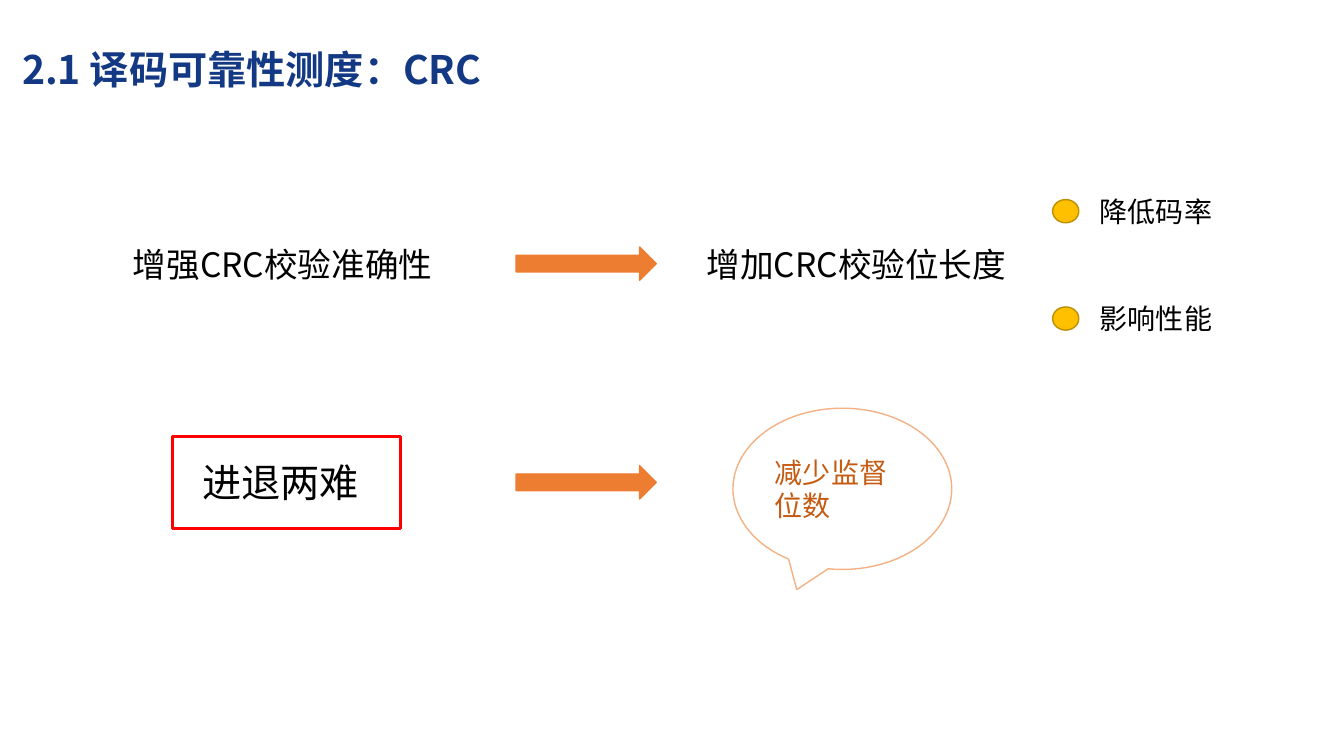
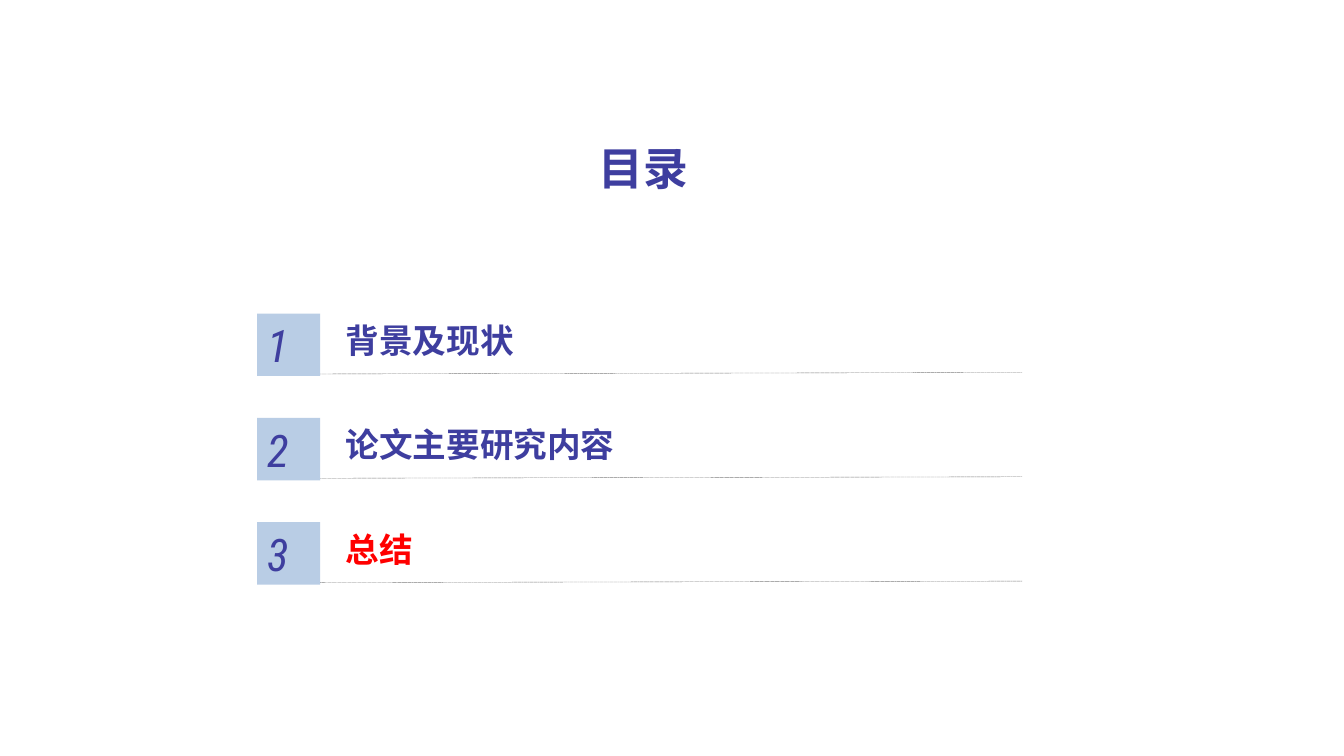
from lxml.etree import SubElement as Sub
from pptx import Presentation
from pptx.dml.color import RGBColor as Rgb
from pptx.enum.dml import MSO_LINE as Dash
from pptx.enum.shapes import MSO_CONNECTOR as Link, MSO_SHAPE as Form
from pptx.enum.text import MSO_ANCHOR as Anchor, MSO_AUTO_SIZE as Fit, PP_ALIGN as Align
from pptx.oxml.ns import qn
from pptx.util import Inches, Pt

WIDE, HIGH = Inches(13.33), Inches(7.5)
SANS, SLIM = "Noto Sans CJK SC", "Roboto Condensed"
HUES = {
    "ink": "000000", "navy": "133984", "indigo": "3E3E9F", "red": "FF0000",
    "orange": "ED7D31", "peach": "F4B183", "rust": "C55A11",
    "gold": "FFC000", "bronze": "BD8E00", "sky": "B9CDE5", "gray": "7F7F7F",
}


def hue(name):
    return Rgb.from_string(HUES[name])


def place(left, top, width, height):
    return [int(part * full / 100) for part, full in
            zip((left, top, width, height), (WIDE, HIGH, WIDE, HIGH))]


def apply(item, values):
    for name, value in values.items():
        setattr(item, name, value)


def write(shape, text, size, color, face=SANS, bold=False, italic=False,
          anchor=Anchor.TOP, align=Align.LEFT, space=1.0):
    frame = shape.text_frame
    apply(frame, {"word_wrap": True, "auto_size": Fit.NONE, "vertical_anchor": anchor})
    para = frame.paragraphs[0]
    apply(para, {"alignment": align, "line_spacing": space})
    run = para.add_run()
    run.text = text
    apply(run.font, {"size": Pt(size), "bold": bold, "italic": italic, "name": face})
    run.font.color.rgb = hue(color)
    Sub(run.font._element, qn("a:ea"), typeface=face)


def title(deck, text, box, **style):
    slide = deck.slides.add_slide(deck.slide_layouts[5])
    head = slide.shapes.title
    apply(head, dict(zip(("left", "top", "width", "height"), place(*box))))
    write(head, text, bold=True, **style)
    return slide


def label(slide, text, box, size, color="ink", **style):
    write(slide.shapes.add_textbox(*place(*box)), text, size, color, **style)


def block(slide, form, box, fill=None, edge=None, weight=1):
    shape = slide.shapes.add_shape(form, *place(*box))
    shape.shadow.inherit = False
    if fill:
        shape.fill.solid()
        shape.fill.fore_color.rgb = hue(fill)
    else:
        shape.fill.background()
    if edge:
        shape.line.color.rgb = hue(edge)
        shape.line.width = Pt(weight)
    else:
        shape.line.fill.background()
    return shape


def rule(slide, left, top, right, end):
    line = slide.shapes.add_connector(Link.STRAIGHT, *place(left, top, right, end))
    line.line.color.rgb = hue("gray")
    apply(line.line, {"width": Pt(0.25), "dash_style": Dash.SQUARE_DOT})
    Sub(line._element.spPr, qn("a:effectLst"))


def crc(deck):
    slide = title(deck, "2.1 译码可靠性测度：CRC", (0.9, 2.27, 40.8, 9.6),
                  size=28, color="navy", space=1.5)
    bubble = block(slide, Form.OVAL_CALLOUT, (54.54, 54, 16.28, 21.33), edge="peach")
    write(bubble, "减少监督位数", 20, "rust", anchor=Anchor.MIDDLE)
    label(slide, "增强CRC校验准确性", (9.15, 31.6, 27.75, 6.67), 24)
    label(slide, "增加CRC校验位长度", (51.84, 31.6, 34.5, 6.67), 24)
    label(slide, "进退两难", (14.33, 60, 14.1, 7.6), 28)
    block(slide, Form.RECTANGLE, (12.83, 57.73, 16.95, 12.13), edge="red", weight=2.25)
    for top in (32.67, 61.6):
        block(slide, Form.RIGHT_ARROW, (38.4, top, 10.43, 4.4), "orange", "orange")
    for row, text in enumerate(("降低码率", "影响性能")):
        top = 25.07 + row * 14.2
        block(slide, Form.FLOWCHART_CONNECTOR, (78.32, top + 1.33, 1.95, 3.07),
              "gold", "bronze")
        label(slide, text, (81.1, top, 16.58, 5.87), 20)


def agenda(deck):
    slide = title(deck, "目录", (14.18, 18, 67.36, 9.87),
                  size=32, color="indigo", align=Align.CENTER)
    items = (("背景及现状", "indigo"), ("论文主要研究内容", "indigo"), ("总结", "red"))
    for row, (text, color) in enumerate(items):
        top = 41.47 + row * 13.8
        rule(slide, 22.58, top + 8, 76.07, top + 7.8)
        tile = block(slide, Form.RECTANGLE, (19.13, top, 4.7, 8.27), "sky")
        write(tile, str(row + 1), 32, "indigo", SLIM, italic=True, anchor=Anchor.MIDDLE)
        label(slide, text, (24.98, top + 0.2, 51.6, 6.67), 24, color, bold=True)


def main():
    deck = Presentation()
    apply(deck, {"slide_width": WIDE, "slide_height": HIGH})
    crc(deck)
    agenda(deck)
    deck.save("out.pptx")


main()
